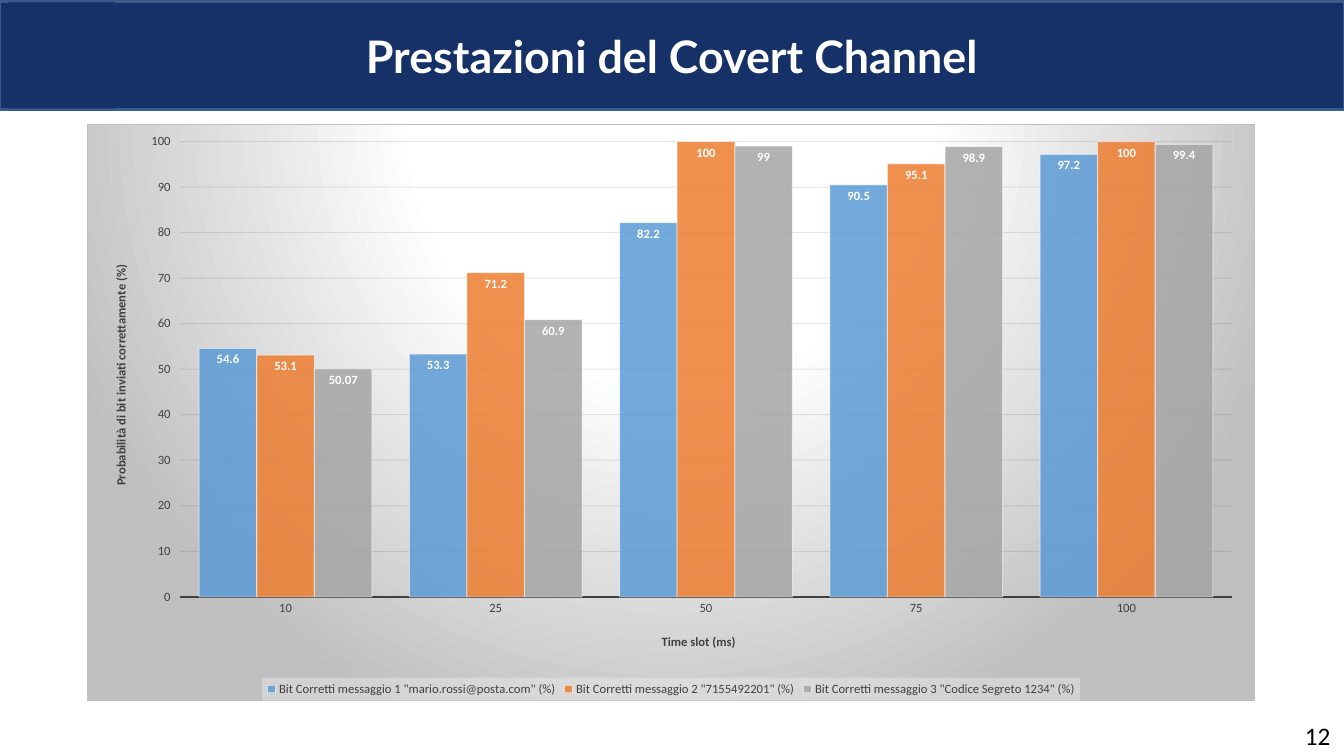
"""Build the slide on covert channel performance with a clustered column chart."""
from dataclasses import dataclass

import lxml.etree
import pptx
import pptx.chart.data
import pptx.dml.color
import pptx.enum.chart
import pptx.enum.dml
import pptx.enum.shapes
import pptx.enum.text
import pptx.oxml
import pptx.oxml.ns
import pptx.util
from pptx.util import Cm, Pt

NAVY = "163168"
WHITE = "FFFFFF"
DARK_GREY = "404040"
BORDER_GREY = "BFBFBF"
TIME_SLOTS = ["10", "25", "50", "75", "100"]


@dataclass(frozen=True)
class Box:
    left: float
    top: float
    width: float
    height: float

    def lengths(self) -> tuple:
        return Cm(self.left), Cm(self.top), Cm(self.width), Cm(self.height)


@dataclass(frozen=True)
class Message:
    name: str
    values: tuple
    color: str


MESSAGES = [
    Message('Bit Corretti messaggio 1 "mario.rossi@posta.com" (%)',
            (54.6, 53.3, 82.2, 90.5, 97.2), "5B9BD5"),
    Message('Bit Corretti messaggio 2 "7155492201" (%)',
            (53.1, 71.2, 100, 95.1, 100), "ED7D31"),
    Message('Bit Corretti messaggio 3 "Codice Segreto 1234" (%)',
            (50.07, 60.9, 99, 98.9, 99.4), "A5A5A5"),
]


def rgb(color: str) -> pptx.dml.color.RGBColor:
    return pptx.dml.color.RGBColor.from_string(color)


def paint(fill, color: str) -> None:
    fill.solid()
    fill.fore_color.rgb = rgb(color)


def draw_line(line, color: str, width: float) -> None:
    paint(line.fill, color)
    line.width = Pt(width)


def format_font(font, name: str, size: float, color: str, bold: bool = False) -> None:
    font.name = name
    font.size = Pt(size)
    font.bold = bold
    font.color.rgb = rgb(color)


def set_opacity(element, query: str, percent: int) -> None:
    for color in element.xpath(query + "/a:srgbClr"):
        alpha = lxml.etree.SubElement(color, pptx.oxml.ns.qn("a:alpha"))
        alpha.set("val", str(percent * 1000))


def place(parent, index: int, **fractions: float) -> None:
    layout = parent.find(pptx.oxml.ns.qn("c:layout"))
    if layout is not None:
        parent.remove(layout)
    target = '<c:layoutTarget val="inner"/>' if parent.tag.endswith("plotArea") else ""
    modes = "".join(f'<c:{key}Mode val="edge"/>' for key in ("x", "y"))
    values = "".join(f'<c:{key} val="{value}"/>' for key, value in fractions.items())
    parent.insert(index, pptx.oxml.parse_xml(
        f'<c:layout {pptx.oxml.ns.nsdecls("c")}><c:manualLayout>'
        f"{target}{modes}{values}</c:manualLayout></c:layout>"))


def add_title(slide, text: str) -> None:
    title = slide.shapes.title
    title.left, title.top, title.width, title.height = Box(0, 0.03, 33.87, 2.72).lengths()
    paint(title.fill, NAVY)
    draw_line(title.line, "385D8A", 2)
    frame = title.text_frame
    frame.text = text
    frame.auto_size = pptx.enum.text.MSO_AUTO_SIZE.NONE
    frame.vertical_anchor = pptx.enum.text.MSO_ANCHOR.MIDDLE
    paragraph = frame.paragraphs[0]
    paragraph.alignment = pptx.enum.text.PP_ALIGN.CENTER
    format_font(paragraph.runs[0].font, "Lato", 32, WHITE, True)


def add_badge(slide) -> None:
    badge = slide.shapes.add_shape(
        pptx.enum.shapes.MSO_SHAPE.RECTANGLE, *Box(0.2, 0.05, 2.69, 2.69).lengths())
    badge.shadow.inherit = False
    paint(badge.fill, NAVY)
    set_opacity(badge.element, "p:spPr/a:solidFill", 68)
    badge.line.fill.background()


def add_page_number(slide, number: str) -> None:
    frame = slide.shapes.add_textbox(*Box(32.36, 18.03, 1.42, 1.02).lengths()).text_frame
    frame.word_wrap = True
    frame.vertical_anchor = pptx.enum.text.MSO_ANCHOR.MIDDLE
    frame.text = number
    paragraph = frame.paragraphs[0]
    paragraph.alignment = pptx.enum.text.PP_ALIGN.RIGHT
    format_font(paragraph.runs[0].font, "Calibri", 18, "000000")


def format_axis(axis, title: str) -> None:
    format_font(axis.tick_labels.font, "Calibri", 9, DARK_GREY)
    axis.minor_tick_mark = pptx.enum.chart.XL_TICK_MARK.NONE
    frame = axis.axis_title.text_frame
    frame.text = title
    format_font(frame.paragraphs[0].runs[0].font, "Calibri", 9, DARK_GREY, True)


def format_axes(chart) -> None:
    slots = chart.category_axis
    format_axis(slots, "Time slot (ms)")
    slots.major_tick_mark = pptx.enum.chart.XL_TICK_MARK.NONE
    draw_line(slots.format.line, DARK_GREY, 1.5)
    rates = chart.value_axis
    format_axis(rates, "Probabilità di bit inviati correttamente (%)")
    rates.major_tick_mark = pptx.enum.chart.XL_TICK_MARK.OUTSIDE
    rates.minimum_scale, rates.maximum_scale, rates.major_unit = 0, 100, 10
    rates.format.line.fill.background()
    draw_line(rates.major_gridlines.format.line, "0D0D0D", 0.75)
    set_opacity(chart.element, ".//c:majorGridlines//a:solidFill", 10)


def format_columns(chart) -> None:
    plot = chart.plots[0]
    plot.gap_width = 65
    plot.overlap = 0
    plot.vary_by_categories = False
    for series, message in zip(plot.series, MESSAGES):
        paint(series.format.fill, message.color)
        draw_line(series.format.line, WHITE, 0.75)
        labels = series.data_labels
        labels.show_value = True
        labels.position = pptx.enum.chart.XL_LABEL_POSITION.INSIDE_END
        format_font(labels.font, "Calibri", 9, WHITE, True)
    set_opacity(chart.element, ".//c:ser/c:spPr/a:solidFill", 85)
    set_opacity(chart.element, ".//c:ser/c:spPr/a:ln/a:solidFill", 50)


def format_legend(chart) -> None:
    chart.has_legend = True
    chart.legend.position = pptx.enum.chart.XL_LEGEND_POSITION.BOTTOM
    chart.legend.include_in_layout = False
    format_font(chart.legend.font, "Calibri", 9, DARK_GREY)
    legend = chart.element.xpath(".//c:legend")[0]
    legend.find(pptx.oxml.ns.qn("c:txPr")).addprevious(pptx.oxml.parse_xml(
        f'<c:spPr {pptx.oxml.ns.nsdecls("c", "a")}><a:solidFill><a:srgbClr val="F2F2F2">'
        '<a:alpha val="39000"/></a:srgbClr></a:solidFill></c:spPr>'))


def format_background(chart) -> None:
    stops = "".join(
        f'<a:gs pos="{position * 1000}"><a:srgbClr val="{color}"/></a:gs>'
        for position, color in ((0, WHITE), (39, WHITE), (100, BORDER_GREY)))
    chart.element.find(pptx.oxml.ns.qn("c:txPr")).addprevious(pptx.oxml.parse_xml(
        f'<c:spPr {pptx.oxml.ns.nsdecls("c", "a")}><a:gradFill><a:gsLst>{stops}</a:gsLst>'
        '<a:path path="circle"><a:fillToRect l="50000" t="-80000" r="50000" b="180000"/>'
        f'</a:path></a:gradFill><a:ln w="{Pt(0.75)}"><a:solidFill>'
        f'<a:srgbClr val="{BORDER_GREY}"/></a:solidFill></a:ln></c:spPr>'))


def add_performance_chart(slide) -> None:
    data = pptx.chart.data.CategoryChartData()
    data.categories = TIME_SLOTS
    for message in MESSAGES:
        data.add_series(message.name, message.values)
    chart = slide.shapes.add_chart(
        pptx.enum.chart.XL_CHART_TYPE.COLUMN_CLUSTERED,
        *Box(2.18, 3.12, 29.46, 14.55).lengths(), data).chart
    chart.has_title = False
    format_font(chart.font, "Calibri", 10, "000000")
    format_axes(chart)
    format_columns(chart)
    format_legend(chart)
    format_background(chart)
    place(chart.element.xpath(".//c:plotArea")[0], 0, x=0.08, y=0.03, w=0.9, h=0.79)
    place(chart.element.xpath(".//c:catAx/c:title")[0], 1, x=0.49, y=0.88)
    place(chart.element.xpath(".//c:valAx/c:title")[0], 1, x=0.02, y=0.24)
    place(chart.element.xpath(".//c:legend")[0], 1, x=0.15, y=0.96, w=0.7, h=0.04)


def main() -> None:
    presentation = pptx.Presentation()
    presentation.slide_width, presentation.slide_height = Cm(33.87), Cm(19.05)
    slide = presentation.slides.add_slide(presentation.slide_layouts[5])
    add_title(slide, "Prestazioni del Covert Channel")
    add_badge(slide)
    add_performance_chart(slide)
    add_page_number(slide, "12")
    presentation.save("out.pptx")


if __name__ == "__main__":
    main()
